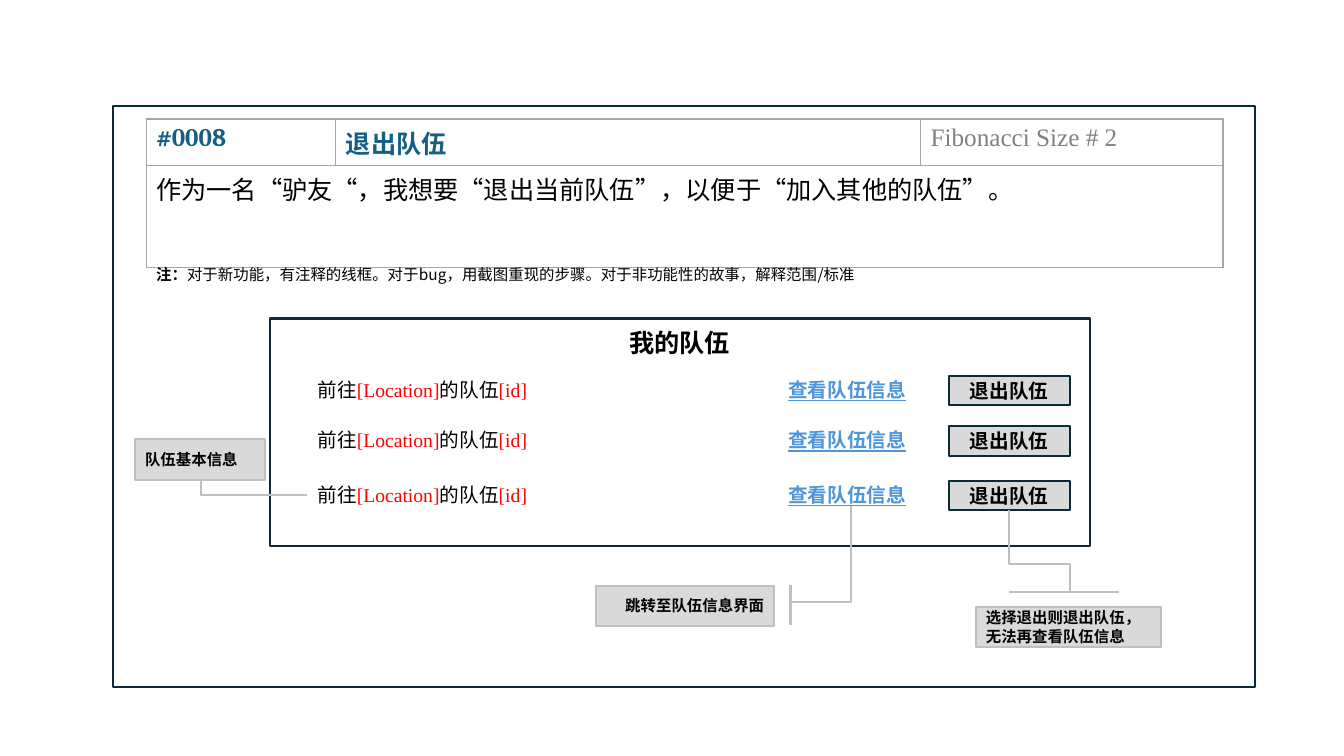
from lxml.etree import SubElement, fromstring
from pptx import Presentation
from pptx.dml.color import RGBColor
from pptx.enum.shapes import MSO_CONNECTOR as Link, MSO_SHAPE as Shape
from pptx.enum.text import MSO_ANCHOR as Anchor, MSO_AUTO_SIZE as Auto, PP_ALIGN as Align
from pptx.oxml.ns import nsdecls, qn
from pptx.util import Inches, Pt

SANS, SERIF = "Noto Sans CJK SC", "Times New Roman"
NAVY, TEAL, GRAY, PALE, EDGE = "092A39", "156082", "808080", "D9D9D9", "BFBFBF"
BLACK, RED, BLUE, RULE = "000000", "FF0000", "4E95D9", "A6A6A6"
TITLE = dict(size=18, bold=True)
BODY = dict(size=14, name=SERIF)
BUTTON = dict(size=14, bold=True)
LABEL = dict(size=11, bold=True)


def color(code):
    return RGBColor.from_string(code)


def inches(*sizes):
    return [Inches(size) for size in sizes]


def write(frame, runs, align=Align.LEFT):
    """Fill a text frame with one paragraph of (text, format) runs."""
    frame.word_wrap = True
    para = frame.paragraphs[0]
    para.alignment = align
    for text, form in runs:
        run = para.add_run()
        run.text = text
        form = dict(dict(name=SANS, color=BLACK, bold=False), **form)
        run.font.color.rgb = color(form.pop("color"))
        east = form.pop("east", SANS)
        form["size"] = Pt(form["size"])
        for key, value in form.items():
            setattr(run.font, key, value)
        SubElement(run.font._element, qn("a:ea")).set("typeface", east)


def add_text(slide, box, runs, align=Align.LEFT):
    shape = slide.shapes.add_textbox(*inches(*box))
    write(shape.text_frame, runs, align)
    shape.text_frame.auto_size = Auto.SHAPE_TO_FIT_TEXT


def add_box(slide, box, line, fill=None, runs=(), align=Align.LEFT):
    shape = slide.shapes.add_shape(Shape.RECTANGLE, *inches(*box))
    shape.shadow.inherit = False
    shape.line.color.rgb = color(line)
    shape.line.width = Pt(1.5)
    if fill:
        shape.fill.solid()
        shape.fill.fore_color.rgb = color(fill)
    else:
        shape.fill.background()
    if runs:
        shape.text_frame.vertical_anchor = Anchor.MIDDLE
        write(shape.text_frame, runs, align)


def add_line(slide, start, end, kind=Link.STRAIGHT):
    line = slide.shapes.add_connector(kind, *inches(*start, *end))
    line.line.color.rgb = color(EDGE)
    line.line.width = Pt(1.5)
    SubElement(line._element.spPr, qn("a:effectLst"))
    return line


def add_elbow(slide, start, end, bend=1):
    """Run down from start, across at the share bend of the drop, then down to end."""
    (x, y), (right, low) = start, end
    wide, tall = abs(right - x), low - y
    left, top = (x + right - tall) / 2, (y + low - wide) / 2
    line = add_line(slide, (left, top), (left + tall, top + wide), Link.ELBOW)
    line.rotation = 270 if right > x else 90
    if right > x:
        line._element.spPr.find(qn("a:xfrm")).set("flipH", "1")
    shape = line._element.spPr.find(qn("a:prstGeom"))
    guides = shape.find(qn("a:avLst"))
    if guides is None:
        guides = SubElement(shape, qn("a:avLst"))
    guide = SubElement(guides, qn("a:gd"))
    guide.set("name", "adj1")
    guide.set("fmla", f"val {round(bend * 100000)}")


def edge_cell(cell):
    cell.fill.background()
    props = cell._tc.get_or_add_tcPr()
    for spot, side in enumerate("LRTB"):
        props.insert(spot, fromstring(
            f'<a:ln{side} {nsdecls("a")} w="12700"><a:solidFill>'
            f'<a:srgbClr val="{RULE}"/></a:solidFill></a:ln{side}>'))


def add_story(slide, box):
    """Story table with its note below."""
    x, y, wide, tall = box
    table = slide.shapes.add_table(2, 3, *inches(*box)).table
    table.first_row = table.horz_banding = False
    for col, size in zip(table.columns, (1.88, 5.8, 3)):
        col.width = Inches(size)
    for row, size in zip(table.rows, (0.46, tall - 0.46)):
        row.height = Inches(size)
    table.cell(1, 0).merge(table.cell(1, 2))
    for cell in table.iter_cells():
        edge_cell(cell)
    heads = (
        ("#0008", dict(TITLE, name="Cambria", color=TEAL)),
        ("退出队伍", dict(TITLE, name="Noto Sans CJK JP", east="Noto Sans CJK JP", color=TEAL)),
        ("Fibonacci Size # 2", dict(size=18, name=SERIF, color=GRAY)),
    )
    for col, head in enumerate(heads):
        write(table.cell(0, col).text_frame, [head])
    story = "作为一名“驴友“，我想要“退出当前队伍”，以便于“加入其他的队伍”。"
    write(table.cell(1, 0).text_frame, [(story, dict(size=18, name=SERIF))], Align.JUSTIFY)
    note = "对于新功能，有注释的线框。对于bug，用截图重现的步骤。对于非功能性的故事，解释范围/标准"
    add_text(slide, (x, y + 1.4, wide, 0.29), [("注：", LABEL), (note, dict(size=11))])


def add_team(slide, x, y):
    red = dict(BODY, color=RED)
    add_text(slide, (x + 0.37, y, 3.71, 0.34),
             [("前往", BODY), ("[Location]", red), ("的队伍", BODY), ("[id]", red)])
    add_text(slide, (x + 5.04, y, 1.44, 0.34),
             [("查看队伍信息", dict(BUTTON, color=BLUE, underline=True))])
    add_box(slide, (x + 6.73, y + 0.03, 1.2, 0.29), NAVY, PALE,
            [("退出队伍", BUTTON)], Align.CENTER)


def add_panel(slide, box):
    x, y, wide, tall = box
    add_box(slide, box, NAVY)
    add_text(slide, (x + 2.37, y + 0.04, 3.38, 0.4), [("我的队伍", TITLE)], Align.CENTER)
    for drop in (0.54, 1.04, 1.58):
        add_team(slide, x, y + drop)


def add_notes(slide, x, y):
    """Callouts around the panel whose corner is x, y."""
    notes = (
        (-1.34, 1.2, 1.29, "队伍基本信息", Align.LEFT),
        (3.23, 2.65, 1.77, "跳转至队伍信息界面", Align.RIGHT),
        (7, 2.86, 1.84, "选择退出则退出队伍，无法再查看队伍信息", Align.LEFT),
    )
    for left, top, wide, text, align in notes:
        add_box(slide, (x + left, y + top, wide, 0.4), EDGE, PALE, [(text, LABEL)], align)
    elbows = (
        ((-0.69, 1.6), (0.37, 1.75), 1),
        ((5.76, 1.86), (5.16, 2.81), 1),
        ((7.33, 1.9), (7.93, 2.71), 0.66),
    )
    for start, end, bend in elbows:
        add_elbow(slide, (x + start[0], y + start[1]), (x + end[0], y + end[1]), bend)
    add_line(slide, (x + 5.16, y + 2.64), (x + 5.16, y + 3.04))
    add_line(slide, (x + 7.33, y + 2.71), (x + 8.42, y + 2.71))


def add_card(slide, box):
    x, y, wide, tall = box
    add_box(slide, box, NAVY)
    add_story(slide, (x + 0.33, y + 0.13, 10.68, 1.47))
    add_panel(slide, (x + 1.56, y + 2.11, 8.13, 2.26))
    add_notes(slide, x + 1.56, y + 2.11)


def main():
    deck = Presentation()
    deck.slide_width, deck.slide_height = inches(13.33, 7.5)
    slide = deck.slides.add_slide(deck.slide_layouts[6])
    add_card(slide, (1.12, 1.05, 11.33, 5.77))
    deck.save("out.pptx")


if __name__ == "__main__":
    main()
